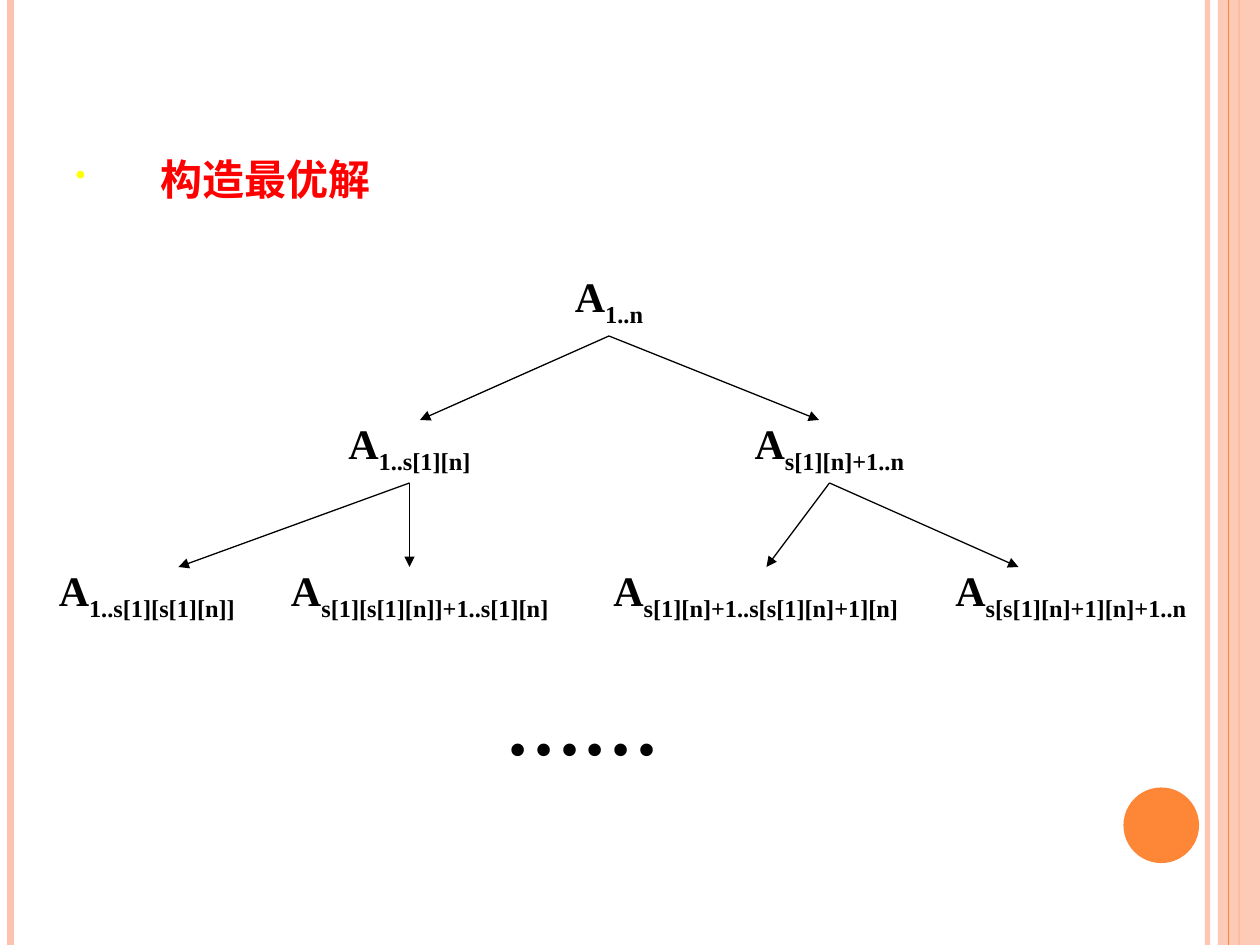
from dataclasses import dataclass

from lxml import etree
from pptx import Presentation
from pptx.dml.color import RGBColor
from pptx.enum.shapes import MSO_CONNECTOR, MSO_SHAPE
from pptx.enum.text import MSO_ANCHOR, MSO_AUTO_SIZE, PP_ALIGN
from pptx.oxml.ns import qn
from pptx.util import Inches, Pt

STRAIGHT = MSO_CONNECTOR.STRAIGHT
RECTANGLE, OVAL = MSO_SHAPE.RECTANGLE, MSO_SHAPE.OVAL
TOP, MIDDLE = MSO_ANCHOR.TOP, MSO_ANCHOR.MIDDLE
LEFT, CENTER = PP_ALIGN.LEFT, PP_ALIGN.CENTER
NO_AUTOFIT = MSO_AUTO_SIZE.NONE
TITLE_ONLY = 5

COLUMNS, ROWS = 120, 90
NODE_WIDTH, NODE_HEIGHT = 10, 5


@dataclass(frozen=True)
class Theme:
    peach: str = "FEC3AE"
    orange: str = "FE8637"
    heading: str = "FF0000"
    bullet: str = "FFFF00"
    ink: str = "000000"
    heading_font: str = "Cambria"
    body_font: str = "Times New Roman"
    text_size: float = 24
    dots_size: float = 44
    arrow_width: float = 0.75


class SlideBuilder:
    def __init__(self, presentation, theme):
        self.theme = theme
        self.cell_width = presentation.slide_width / COLUMNS
        self.cell_height = presentation.slide_height / ROWS
        self.slide = presentation.slides.add_slide(presentation.slide_layouts[TITLE_ONLY])

    def x(self, columns):
        return round(columns * self.cell_width)

    def y(self, rows):
        return round(rows * self.cell_height)

    def box(self, left, top, width, height):
        return self.x(left), self.y(top), self.x(width), self.y(height)

    def set_opacity(self, shape, percent):
        color = next(shape._element.spPr.iter(qn("a:srgbClr")))
        etree.SubElement(color, qn("a:alpha"), val=str(percent * 1000))

    def line(self, start, end, color, width):
        connector = self.slide.shapes.add_connector(
            STRAIGHT, self.x(start[0]), self.y(start[1]), self.x(end[0]), self.y(end[1]))
        connector.line.color.rgb = RGBColor.from_string(color)
        connector.line.width = Pt(width)
        etree.SubElement(connector._element.spPr, qn("a:effectLst"))
        return connector

    def rail(self, column, color, width):
        return self.line((column, 0), (column, ROWS), color, width)

    def arrow(self, start, end):
        connector = self.line(start, end, self.theme.ink, self.theme.arrow_width)
        outline = connector._element.spPr.find(qn("a:ln"))
        etree.SubElement(outline, qn("a:tailEnd"), type="triangle")

    def shape(self, kind, bounds, color=None):
        shape = self.slide.shapes.add_shape(kind, *self.box(*bounds))
        shape.shadow.inherit = False
        shape.line.fill.background()
        if color is None:
            shape.fill.background()
        else:
            shape.fill.solid()
            shape.fill.fore_color.rgb = RGBColor.from_string(color)
        return shape

    def paragraph(self, frame, align, indent, space_before):
        paragraph = frame.paragraphs[0]
        paragraph.alignment = align
        paragraph.space_before = Pt(space_before)
        properties = paragraph._p.get_or_add_pPr()
        properties.set("marL", str(Inches(indent)))
        properties.set("indent", str(-Inches(indent)))
        return paragraph

    def run(self, paragraph, text, font, size, color, baseline=None):
        run = paragraph.add_run()
        run.text = text
        run.font.name = font
        run.font.size = Pt(size)
        run.font.bold = True
        run.font.color.rgb = RGBColor.from_string(color)
        if baseline is not None:
            run.font._element.set("baseline", str(baseline * 1000))

    def title(self, text, bounds):
        theme = self.theme
        title = self.slide.shapes.title
        title.left, title.top, title.width, title.height = self.box(*bounds)
        frame = title.text_frame
        frame.word_wrap = True
        frame.auto_size = NO_AUTOFIT
        frame.vertical_anchor = TOP
        paragraph = self.paragraph(frame, LEFT, 0.67, 6)
        properties = paragraph._p.get_or_add_pPr()
        bullet_color = etree.SubElement(properties, qn("a:buClr"))
        etree.SubElement(bullet_color, qn("a:srgbClr"), val=theme.bullet)
        etree.SubElement(properties, qn("a:buSzPct"), val="70000")
        etree.SubElement(properties, qn("a:buChar"), char="•")
        self.run(paragraph, text, theme.heading_font, theme.text_size, theme.heading)

    def node(self, subscript, left, top):
        theme = self.theme
        frame = self.shape(RECTANGLE, (left, top, NODE_WIDTH, NODE_HEIGHT)).text_frame
        frame.word_wrap = False
        frame.vertical_anchor = MIDDLE
        paragraph = self.paragraph(frame, CENTER, 0.38, 6)
        for text, baseline in (("A", None), (subscript, -25)):
            self.run(paragraph, text, theme.body_font, theme.text_size, theme.ink, baseline)

    def dots(self, text, bounds):
        theme = self.theme
        frame = self.slide.shapes.add_textbox(*self.box(*bounds)).text_frame
        frame.word_wrap = True
        paragraph = self.paragraph(frame, CENTER, 0.38, 27.5)
        self.run(paragraph, text, theme.body_font, theme.dots_size, theme.ink)


def main():
    presentation = Presentation()
    presentation.slide_width = Inches(10)
    presentation.slide_height = Inches(7.5)
    theme = Theme()
    builder = SlideBuilder(presentation, theme)

    builder.set_opacity(builder.rail(115, theme.peach, 3), 93)
    builder.rail(1, theme.peach, 4.5)
    builder.rail(118, theme.orange, 1.5)
    builder.set_opacity(builder.shape(RECTANGLE, (116, 0, 4, ROWS), theme.peach), 87)
    builder.rail(117, theme.orange, 0.75)
    builder.shape(OVAL, (107, 75, 7.2, 7.2), theme.orange)

    builder.title("构造最优解", (6, 14, 108, 59))

    levels = {
        26: [("1..n", 53)],
        40: [("1..s[1][n]", 34), ("s[1][n]+1..n", 74)],
        54: [
            ("1..s[1][s[1][n]]", 9),
            ("s[1][s[1][n]]+1..s[1][n]", 35),
            ("s[1][n]+1..s[s[1][n]+1][n]", 67),
            ("s[s[1][n]+1][n]+1..n", 97),
        ],
    }
    for top, nodes in levels.items():
        for subscript, left in nodes:
            builder.node(subscript, left, top)

    branches = {
        (58, 32): [(40, 40), (78, 40)],
        (39, 46): [(17, 54), (39, 54)],
        (79, 46): [(73, 54), (97, 54)],
    }
    for parent, children in branches.items():
        for child in children:
            builder.arrow(parent, child)

    builder.dots("……", (43, 64, 25, 10))
    presentation.save("out.pptx")


if __name__ == "__main__":
    main()
